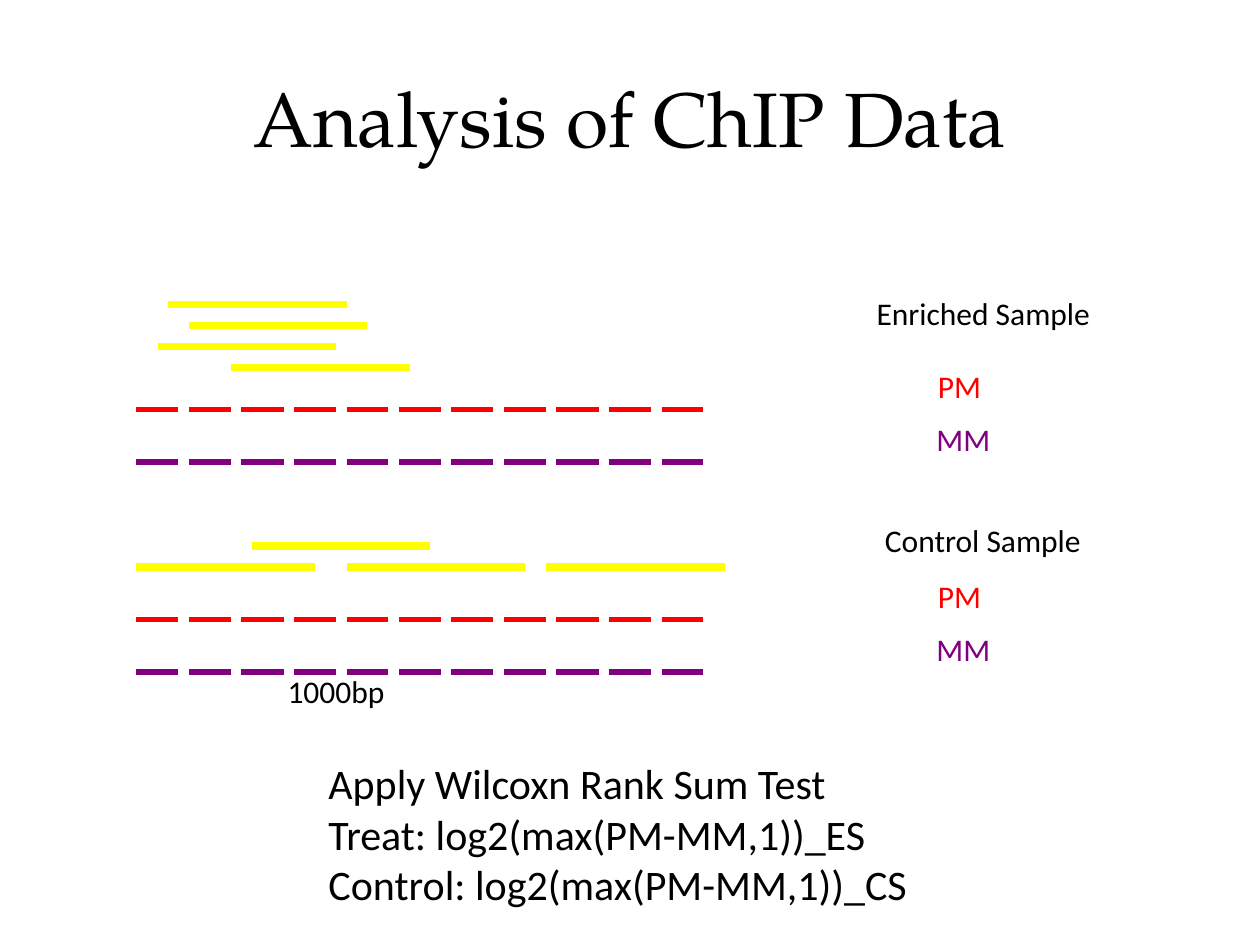
import dataclasses

import lxml.etree
import pptx
import pptx.dml.color
import pptx.enum.shapes
import pptx.enum.text
import pptx.oxml.ns
import pptx.util

# The grid has twelve cells to the inch: 120 columns by 90 rows
CELLS_PER_INCH = 12
COLUMNS, ROWS = 120, 90

FRAGMENT_LENGTH = 17
PROBE_START, PROBE_LENGTH, PROBE_PITCH, PROBE_COUNT = 13, 4, 5, 11


@dataclasses.dataclass(frozen=True)
class Theme:
    background: str = "FFFFFF"
    text: str = "000000"
    fragment: str = "FFFF00"
    perfect_match: str = "FF0000"
    mismatch: str = "800080"
    title_font: str = "TeX Gyre Pagella"
    body_font: str = "Calibri"
    title_size: int = 44
    summary_size: int = 24
    label_size: int = 18
    fragment_width: float = 4.5
    probe_width: float = 3


def cells(count):
    return pptx.util.Inches(count / CELLS_PER_INCH)


def rgb(color):
    return pptx.dml.color.RGBColor.from_string(color)


class SlideBuilder:
    def __init__(self, presentation, theme):
        self.theme = theme
        self.slide = presentation.slides.add_slide(presentation.slide_layouts[5])
        fill = self.slide.background.fill
        fill.solid()
        fill.fore_color.rgb = rgb(theme.background)

    def format_runs(self, text_frame, font_name, size, color):
        for paragraph in text_frame.paragraphs:
            for run in paragraph.runs:
                run.font.name = font_name
                run.font.size = pptx.util.Pt(size)
                run.font.color.rgb = rgb(color)

    def title(self, text, left, top, width, height):
        shape = self.slide.shapes.title
        shape.left, shape.top = cells(left), cells(top)
        shape.width, shape.height = cells(width), cells(height)
        text_frame = shape.text_frame
        text_frame.text = text
        text_frame.vertical_anchor = pptx.enum.text.MSO_ANCHOR.MIDDLE
        text_frame.paragraphs[0].alignment = pptx.enum.text.PP_ALIGN.CENTER
        self.format_runs(text_frame, self.theme.title_font,
                         self.theme.title_size, self.theme.text)

    def text(self, text, left, top, width, height=4.8, size=None, color=None):
        shape = self.slide.shapes.add_textbox(
            cells(left), cells(top), cells(width), cells(height))
        text_frame = shape.text_frame
        text_frame.word_wrap = False
        text_frame.auto_size = pptx.enum.text.MSO_AUTO_SIZE.SHAPE_TO_FIT_TEXT
        text_frame.text = text
        self.format_runs(text_frame, self.theme.body_font,
                         size or self.theme.label_size, color or self.theme.text)

    def line(self, shapes, left, row, length, color, width):
        connector = shapes.add_connector(
            pptx.enum.shapes.MSO_CONNECTOR.STRAIGHT,
            cells(left), cells(row), cells(left + length), cells(row))
        connector.line.color.rgb = rgb(color)
        connector.line.width = pptx.util.Pt(width)
        properties = connector._element.spPr
        lxml.etree.SubElement(properties, pptx.oxml.ns.qn("a:effectLst"))

    def fragment(self, left, row):
        self.line(self.slide.shapes, left, row, FRAGMENT_LENGTH,
                  self.theme.fragment, self.theme.fragment_width)

    def probe_row(self, row, color):
        group = self.slide.shapes.add_group_shape()
        for index in range(PROBE_COUNT):
            self.line(group.shapes, PROBE_START + index * PROBE_PITCH, row,
                      PROBE_LENGTH, color, self.theme.probe_width)

    def sample(self, name, name_box, fragments, probe_top):
        for left, row in fragments:
            self.fragment(left, row)
        self.text(name, *name_box)
        probes = (("PM", 88.15, 6.5, self.theme.perfect_match),
                  ("MM", 88, 7.6, self.theme.mismatch))
        for index, (label, left, width, color) in enumerate(probes):
            row = probe_top + 5 * index
            self.probe_row(row, color)
            self.text(label, left, row - 4.6, width, color=color)


def main():
    presentation = pptx.Presentation()
    presentation.slide_width = cells(COLUMNS)
    presentation.slide_height = cells(ROWS)
    theme = Theme()
    builder = SlideBuilder(presentation, theme)

    builder.title("Analysis of ChIP Data", 6, 3.6, 108, 15)

    # Fragments and probe rows of the two samples
    builder.sample("Enriched Sample", (82.3, 27.4, 22.7),
                   [(16, 29), (18, 31), (15, 33), (22, 35)], probe_top=39)
    builder.sample("Control Sample", (83.1, 49, 21.1),
                   [(13, 54), (33, 54), (24, 52), (52, 54)], probe_top=59)

    # Scale label
    builder.text("1000bp", 26.2, 63.4, 11.6)

    # Test and its two inputs
    builder.text("Apply Wilcoxn Rank Sum Test\n"
                 "Treat: log2(max(PM-MM,1))_ES\n"
                 "Control: log2(max(PM-MM,1))_CS",
                 30.1, 71.6, 57.6, 20.4, size=theme.summary_size)

    presentation.save("out.pptx")


if __name__ == "__main__":
    main()
